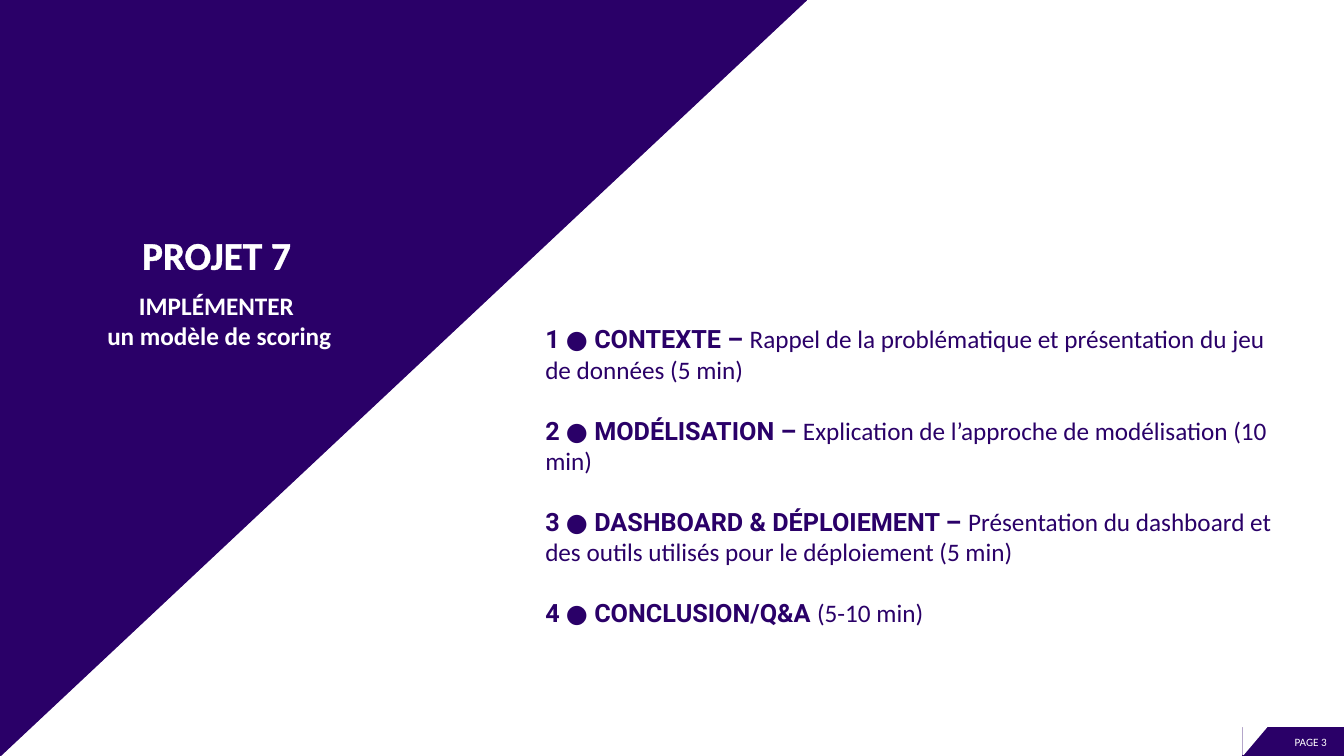
"""Build the agenda slide of a scoring model project."""
from collections import namedtuple

from lxml.etree import SubElement
from pptx import Presentation
from pptx.dml.color import RGBColor
from pptx.enum.shapes import MSO_SHAPE as Shape
from pptx.enum.text import MSO_ANCHOR as Anchor, PP_ALIGN as Align
from pptx.oxml.ns import qn
from pptx.util import Inches, Pt

Box = namedtuple("Box", "left top width height")

WIDTH, HEIGHT = 13.33, 7.5
COLORS = {"purple": "2A0068", "white": "FFFFFF"}
AGENDA = [
    [("1 ● CONTEXTE – ", True),
     ("Rappel de la problématique et présentation du jeu de données (5 min)", False)],
    [("2 ● MODÉLISATION – ", True),
     ("Explication de l’approche de modélisation (10 min)", False)],
    [("3 ● DASHBOARD & DÉPLOIEMENT – ", True),
     ("Présentation du dashboard et des outils utilisés pour le déploiement (5 min)", False)],
    [("4 ● CONCLUSION/Q&A ", True), ("(5-10 min)", False)],
]


def color(name):
    """Return the named colour."""
    return RGBColor.from_string(COLORS[name])


def part(box, left, top, width, height):
    """Return the part of a box given as shares of its size."""
    return Box(box.left + left * box.width, box.top + top * box.height,
               width * box.width, height * box.height)


def add_block(slide, kind, box, fill, border=True):
    """Add a plain filled shape."""
    shape = slide.shapes.add_shape(kind, *map(Inches, box))
    shape.shadow.inherit = False
    shape.fill.solid()
    shape.fill.fore_color.rgb = color(fill)
    if border:
        shape.line.color.rgb = color(fill)
        shape.line.width = Pt(1)
    else:
        shape.line.fill.background()
    return shape


def add_corner(slide, box, fill):
    """Add a right triangle filling the top left half of a box."""
    shift = (box.width - box.height) / 2
    unturned = Box(box.left + shift, box.top - shift, box.height, box.width)
    add_block(slide, Shape.RIGHT_TRIANGLE, unturned, fill).rotation = 90


def format_run(run, size, ink, bold=False, font="Calibri"):
    """Set the font of a run."""
    run.font.name, run.font.size, run.font.bold = font, Pt(size), bold
    run.font.color.rgb = color(ink)


def write_lines(shape, lines, size, bold, align):
    """Write white lines into a shape and return its text frame."""
    frame = shape.text_frame
    frame.word_wrap = True
    frame.text = "\n".join(lines)
    for paragraph in frame.paragraphs:
        paragraph.alignment = align
        format_run(paragraph.runs[0], size, "white", bold)
    return frame


def outline_text(run, ink, points):
    """Draw an outline around the letters of a run."""
    properties = run._r.get_or_add_rPr()
    line = SubElement(properties, qn("a:ln"), w=str(Pt(points)))
    fill = SubElement(line, qn("a:solidFill"))
    SubElement(fill, qn("a:srgbClr"), val=COLORS[ink])
    properties.insert(0, line)


def add_title_region(slide, box):
    """Add the purple corner with the project title and subtitle."""
    add_corner(slide, box, "purple")
    title = add_block(slide, Shape.RECTANGLE, part(box, 0.139, 0.303, 0.259, 0.061),
                      "purple", border=False)
    frame = write_lines(title, ["PROJET 7"], 28, True, Align.CENTER)
    frame.vertical_anchor = Anchor.MIDDLE
    frame.margin_left = frame.margin_top = frame.margin_right = Inches(0.04)
    frame.margin_bottom = 0
    outline_text(frame.paragraphs[0].runs[0], "white", 1.75)
    subtitle = slide.shapes.add_textbox(*map(Inches, part(box, 0.0725, 0.377, 0.399, 0.095)))
    write_lines(subtitle, ["IMPLÉMENTER ", "un modèle de scoring"], 18, True, Align.CENTER)


def add_agenda(slide, box):
    """Add the list of numbered agenda items."""
    frame = add_block(slide, Shape.RECTANGLE, box, "white").text_frame
    frame.word_wrap = True
    frame.vertical_anchor = Anchor.MIDDLE
    for index, item in enumerate(AGENDA):
        paragraph = frame.add_paragraph() if index else frame.paragraphs[0]
        paragraph.alignment = Align.LEFT
        paragraph.space_before = Pt(22 if index else 0)
        for text, heading in item:
            run = paragraph.add_run()
            run.text = text
            format_run(run, 18, "purple", heading, "Roboto" if heading else "Calibri")


def add_page_tab(slide, box):
    """Add the page number tab with its slanted left edge."""
    add_block(slide, Shape.RECTANGLE, box, "purple")
    label = slide.shapes.add_textbox(*map(Inches, part(box, 0.07, 0.14, 0.86, 0.72)))
    frame = write_lines(label, ["PAGE 3"], 8, False, Align.RIGHT)
    frame.vertical_anchor = Anchor.MIDDLE
    add_corner(slide, part(box, 0, -0.23, 0.28, 1.18), "white")


def main():
    """Build and save the slide."""
    presentation = Presentation()
    presentation.slide_width = Inches(WIDTH)
    presentation.slide_height = Inches(HEIGHT)
    slide = presentation.slides.add_slide(presentation.slide_layouts[6])
    page = Box(0, 0, WIDTH, HEIGHT)
    add_title_region(slide, part(page, 0, 0, 0.6, 1))
    add_agenda(slide, Box(5.31, 2.84, 7.6, 3.76))
    add_page_tab(slide, Box(WIDTH - 1, HEIGHT - 0.28, 1, 0.28))
    presentation.save("out.pptx")


if __name__ == "__main__":
    main()
